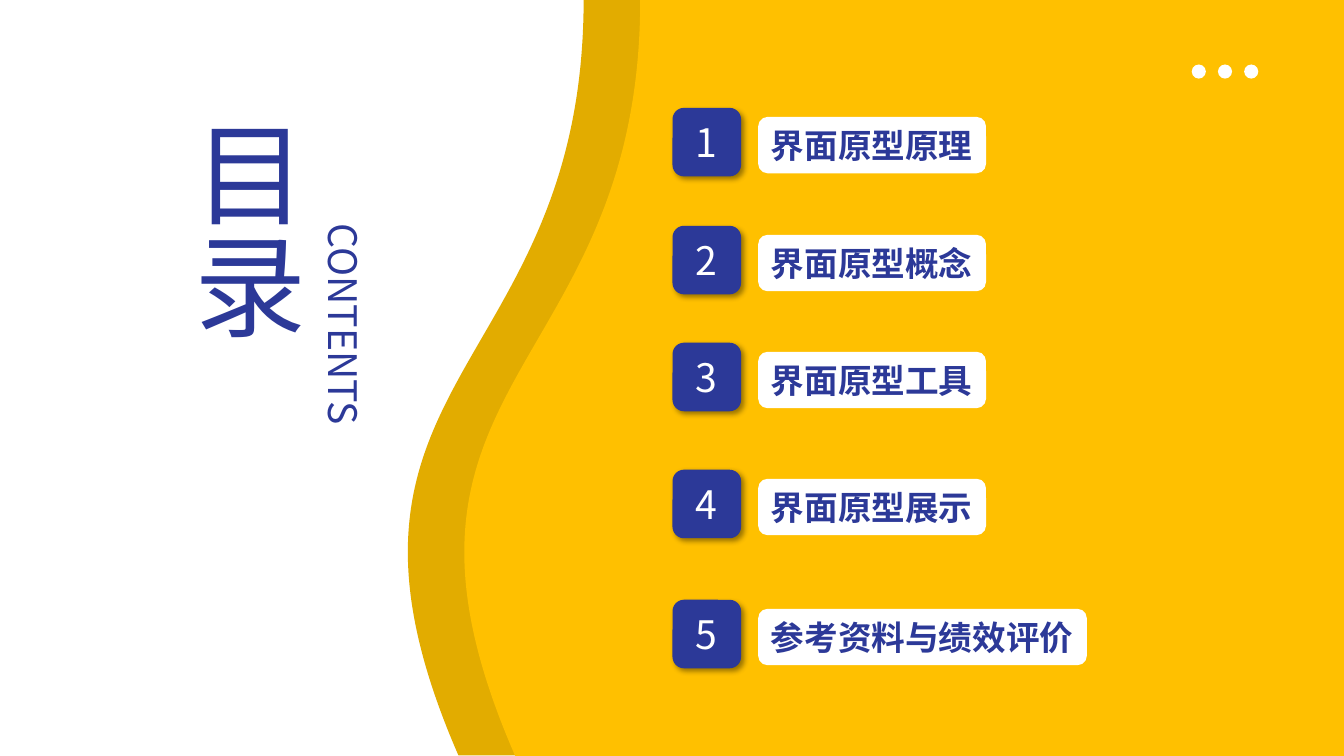
"""Build a contents slide with a wavy yellow panel and five numbered topics."""
from lxml import etree
from pptx import Presentation, util as u
from pptx.dml.color import RGBColor
from pptx.enum import shapes, text
from pptx.oxml import parse_xml
from pptx.oxml.ns import nsdecls, qn

TOPICS = [
    (1.07, "界面原型原理"),
    (2.24, "界面原型概念"),
    (3.4, "界面原型工具"),
    (4.66, "界面原型展示"),
    (5.95, "参考资料与绩效评价"),
]
TITLES = [
    ("目录", 80, (1.65, 1.07, 1.51, 2.69)),
    ("CONTENTS", 28, (3.03, 2.12, 0.67, 2.54)),
]
COLORS = {"blue": "2C3998", "gold": "FFC000", "dark": "E2AC00", "white": "FFFFFF"}
FONT = "Noto Sans CJK SC"
WIDE, HIGH = 13.33, 7.5
TOP, LOW = 6.35, 5.11
CURVE = [(TOP, 3.75), (3.47, 3.75), (LOW, HIGH)]
BADGE, LABEL, DOT = 0.68, 0.56, 0.14
KIND = shapes.MSO_SHAPE

prs = Presentation()
prs.slide_width, prs.slide_height = u.Inches(WIDE), u.Inches(HIGH)
slide = prs.slides.add_slide(prs.slide_layouts[6])


def paint(shape, color):
    shape.shadow.inherit = False
    shape.fill.solid()
    shape.fill.fore_color.rgb = RGBColor.from_string(COLORS[color])
    shape.line.fill.background()
    return shape


def draw(kind, box, color):
    return paint(slide.shapes.add_shape(kind, *map(u.Inches, box)), color)


def write(shape, words, size, color, align, bold=False):
    para = shape.text_frame.paragraphs[0]
    para.text, para.alignment = words, align
    font = para.font
    font.size, font.bold, font.name = u.Pt(size), bold, FONT
    font.color.rgb = RGBColor.from_string(COLORS[color])
    props = para._p.pPr.find(qn("a:defRPr"))
    etree.SubElement(props, qn("a:ea")).set("typeface", FONT)


def shade(shape):
    effect = shape._element.spPr.find(qn("a:effectLst"))
    effect.append(parse_xml(
        f'<a:outerShdw {nsdecls("a")} blurRad="{u.Pt(4)}" dist="{u.Pt(3)}" '
        'dir="2700000" algn="tl" rotWithShape="0">'
        '<a:srgbClr val="000000"><a:alpha val="40000"/></a:srgbClr></a:outerShdw>'))


def panel():
    edge = [(TOP, 0), (LOW, HIGH), (WIDE, HIGH)]
    pen = slide.shapes.build_freeform(u.Inches(WIDE), 0)
    pen.add_line_segments([(u.Inches(x), u.Inches(y)) for x, y in edge])
    shape = paint(pen.convert_to_shape(), "gold")
    line = shape._element.findall(".//" + qn("a:lnTo"))[1]
    bend = etree.Element(qn("a:cubicBezTo"))
    for x, y in CURVE:
        point = etree.SubElement(bend, qn("a:pt"))
        point.set("x", str(u.Inches(x) - u.Inches(LOW)))
        point.set("y", str(u.Inches(y)))
    line.getparent().replace(line, bend)


wave = draw(KIND.FLOWCHART_DOCUMENT, (4.88, -0.96, 7.5, 9.41), "dark")
wave.rotation = 90
wave._element.spPr.find(qn("a:xfrm")).set("flipH", "1")
panel()

for i in range(3):
    draw(KIND.OVAL, (11.82 + 0.26 * i, 0.64, DOT, DOT), "white")

for i, (y, topic) in enumerate(TOPICS, 1):
    badge = draw(KIND.ROUNDED_RECTANGLE, (6.67, y, BADGE, BADGE), "blue")
    shade(badge)
    badge.text_frame.vertical_anchor = text.MSO_ANCHOR.MIDDLE
    write(badge, str(i), 28, "white", text.PP_ALIGN.CENTER)
    size = (len(topic) / 3 + 0.26, LABEL)
    label = draw(KIND.ROUNDED_RECTANGLE, (7.52, y + 0.09, *size), "white")
    label.text_frame.word_wrap = False
    label.text_frame.vertical_anchor = text.MSO_ANCHOR.TOP
    write(label, topic, 24, "blue", text.PP_ALIGN.LEFT, True)

for words, size, box in TITLES:
    title = slide.shapes.add_textbox(*map(u.Inches, box))
    title.text_frame.word_wrap = True
    title.text_frame._txBody.bodyPr.set("vert", "eaVert")
    write(title, words, size, "blue", text.PP_ALIGN.JUSTIFY)

prs.save("out.pptx")
